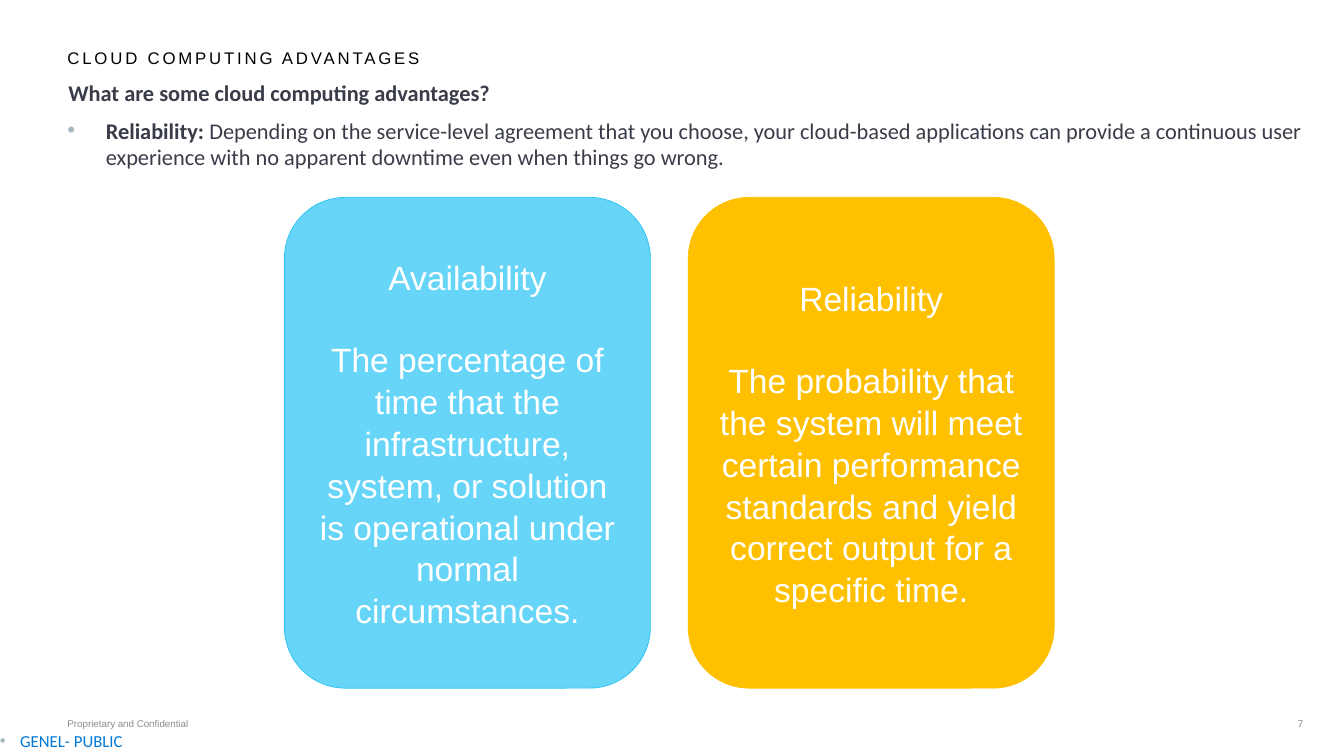
from dataclasses import dataclass
from lxml.etree import SubElement as Sub
from pptx import Presentation
from pptx.dml.color import RGBColor as RGB
from pptx.enum.shapes import MSO_SHAPE as Geo
from pptx.enum.text import MSO_ANCHOR as Anchor, PP_ALIGN as Align
from pptx.oxml.ns import qn
from pptx.util import Pt


@dataclass(frozen=True)
class Theme:
    sans: str = "Arial"
    body: str = "Calibri"
    black: str = "000000"
    white: str = "FFFFFF"
    ink: str = "3A3D49"
    dot: str = "AAB8C2"
    gray: str = "8C8C8C"
    pale: str = "898989"
    label: str = "0078D7"
    sky: str = "67D5F7"
    edge: str = "27C3F3"
    gold: str = "FFC000"
    tiny: float = 7
    small: float = 12
    text: float = 16
    large: float = 24


def write(para, text, font, size, color, bold=False, track=0):
    run = para.add_run()
    run.text = text
    run.font.name = font
    run.font.size = Pt(size)
    run.font.bold = bold
    run.font.color.rgb = RGB.from_string(color)
    if track:
        run.font._element.set("spc", str(track * 100))


def space(para, line=None, before=None, after=None, align=Align.LEFT):
    para.alignment = align
    para.line_spacing = line
    para.space_before = None if before is None else Pt(before)
    para.space_after = None if after is None else Pt(after)


def bullet(para, indent, color):
    props = para._p.get_or_add_pPr()
    props.set("marL", str(Pt(indent)))
    props.set("indent", str(-Pt(indent)))
    tint = Sub(props, qn("a:buClr"))
    Sub(tint, qn("a:srgbClr")).set("val", color)
    Sub(props, qn("a:buFont")).set("typeface", "Arial")
    Sub(props, qn("a:buChar")).set("char", "•")


class Board:
    def __init__(self, slide, theme):
        self.slide = slide
        self.theme = theme

    def box(self, left, top, width, height, anchor=Anchor.TOP, wrap=True):
        shape = self.slide.shapes.add_textbox(Pt(left), Pt(top), Pt(width), Pt(height))
        frame = shape.text_frame
        frame.margin_left = frame.margin_right = 0
        frame.margin_top = frame.margin_bottom = 0
        frame.word_wrap = wrap
        frame.vertical_anchor = anchor
        return frame

    def footer(self):
        look = self.theme
        para = self.box(0, 517, 98.6, 23, Anchor.MIDDLE).paragraphs[0]
        space(para, line=1.1)
        bullet(para, 14.4, look.dot)
        write(para, "GENEL- PUBLIC", look.body, look.small, look.label)
        para = self.box(902.2, 512, 28.8, 9.4, Anchor.BOTTOM).paragraphs[0]
        space(para, line=1.1, before=2, after=2, align=Align.RIGHT)
        write(para, "7", look.sans, look.tiny, look.pale)
        para = self.box(48.2, 512.6, 87, 8.6, Anchor.BOTTOM, False).paragraphs[0]
        write(para, "Proprietary and Confidential", look.sans, look.tiny, look.gray)

    def title(self, text):
        look = self.theme
        para = self.box(48.2, 36, 864, 20).paragraphs[0]
        space(para, line=0.9)
        write(para, text, look.sans, look.small, look.black, track=2)

    def intro(self, head, term, text):
        look = self.theme
        frame = self.box(48.2, 56.2, 887, 441.4)
        para = frame.paragraphs[0]
        space(para, after=8)
        para._p.get_or_add_pPr().set("marL", str(Pt(0.7)))
        write(para, head, look.body, look.text, look.ink, bold=True)
        para = frame.add_paragraph()
        space(para, after=4)
        bullet(para, 27.4, look.dot)
        write(para, term, look.body, look.text, look.ink, bold=True)
        write(para, text, look.body, look.text, look.ink)

    def card(self, left, head, text, fill, edge):
        look = self.theme
        shape = self.slide.shapes.add_shape(
            Geo.ROUNDED_RECTANGLE, Pt(left), Pt(141), Pt(261.4), Pt(350.6))
        shape.shadow.inherit = False
        shape.fill.solid()
        shape.fill.fore_color.rgb = RGB.from_string(fill)
        shape.line.color.rgb = RGB.from_string(edge)
        shape.line.width = Pt(0.5)
        frame = shape.text_frame
        frame.word_wrap = True
        frame.vertical_anchor = Anchor.MIDDLE
        first, last = frame.paragraphs[0], frame.add_paragraph()
        for para, words, gap in ((first, head, 28.8), (last, text, 0)):
            space(para, line=1.04, after=gap, align=Align.CENTER)
            write(para, words, look.sans, look.large, look.white)


def main():
    deck = Presentation()
    deck.slide_width, deck.slide_height = Pt(960), Pt(540)
    look = Theme()
    board = Board(deck.slides.add_slide(deck.slide_layouts[6]), look)
    board.footer()
    board.title("CLOUD COMPUTING ADVANTAGES")
    board.intro(
        "What are some cloud computing advantages?",
        "Reliability: ",
        "Depending on the service-level agreement that you choose, your "
        "cloud-based applications can provide a continuous user experience "
        "with no apparent downtime even when things go wrong.")
    cards = (
        ("Availability",
         "The percentage of time that the infrastructure, system, or solution "
         "is operational under normal circumstances.", look.sky, look.edge),
        ("Reliability",
         "The probability that the system will meet certain performance "
         "standards and yield correct output for a specific time.",
         look.gold, look.gold),
    )
    for index, card in enumerate(cards):
        board.card(203.2 + 288.4 * index, *card)
    deck.save("out.pptx")


if __name__ == "__main__":
    main()
